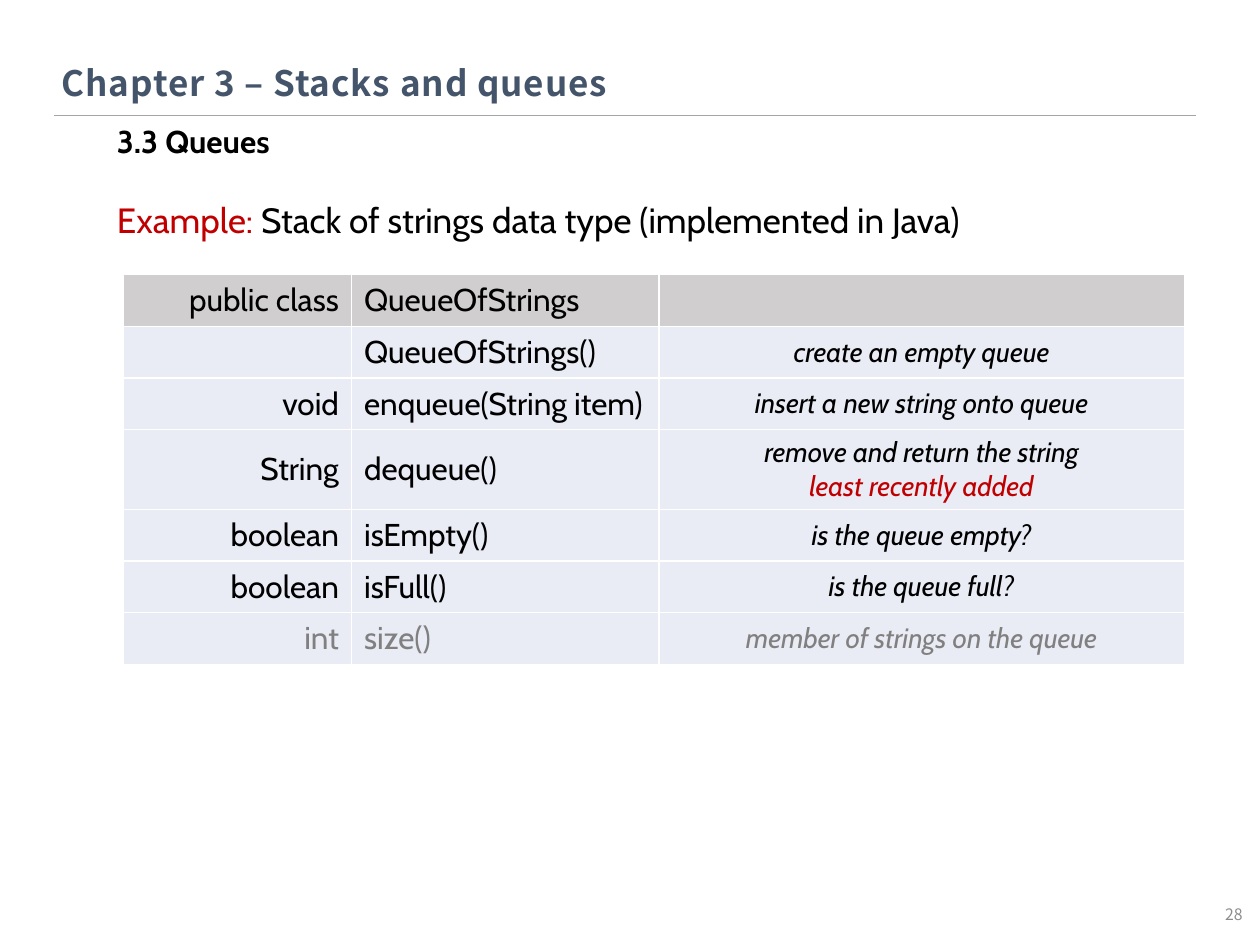
"""Build a slide that lists the methods of a queue of strings."""
from lxml import etree
from pptx import Presentation
from pptx.dml.color import RGBColor
from pptx.enum.shapes import MSO_CONNECTOR
from pptx.enum.text import MSO_ANCHOR, PP_ALIGN
from pptx.oxml.ns import qn
from pptx.util import Inches, Pt

LEFT, CENTER, RIGHT = PP_ALIGN.LEFT, PP_ALIGN.CENTER, PP_ALIGN.RIGHT
TOP, MIDDLE = MSO_ANCHOR.TOP, MSO_ANCHOR.MIDDLE
STRAIGHT = MSO_CONNECTOR.STRAIGHT

BLACK = RGBColor(0x00, 0x00, 0x00)
RED = RGBColor(0xC0, 0x00, 0x00)
GRAY = RGBColor(0x80, 0x80, 0x80)
NUMBER_GRAY = RGBColor(0x8C, 0x8C, 0x8C)
RULE_GRAY = RGBColor(0xA5, 0xA5, 0xA5)
SLATE = RGBColor(0x44, 0x54, 0x6A)
HEADER_FILL = RGBColor(0xD0, 0xCE, 0xCE)
BODY_FILL = RGBColor(0xE9, 0xEB, 0xF5)

BODY_FONT, HEADING_FONT = "Cabin", "Noto Sans CJK KR"

TITLE = "Chapter 3 – Stacks and queues"
SECTION = "3.3 Queues"
EXAMPLE = [("Example: ", RED), ("Stack of strings data type (implemented in Java)", BLACK)]
PAGE_NUMBER = "28"
METHODS = [
    ("public class", "QueueOfStrings", []),
    ("", "QueueOfStrings()", ["create an empty queue"]),
    ("void", "enqueue(String item)", ["insert a new string onto queue"]),
    ("String", "dequeue()", ["remove and return the string", "least recently added"]),
    ("boolean", "isEmpty()", ["is the queue empty?"]),
    ("boolean", "isFull()", ["is the queue full?"]),
    ("int", "size()", ["member of strings on the queue"]),
]
HIGHLIGHT = "least recently added"
OPTIONAL_METHODS = {"size()"}

SLIDE_SIZE = (10, 7.5)
TITLE_BOX = (0.39, 0.44, 9.57, 0.66)
SECTION_BOX = (0.83, 0.92, 8.58, 0.4)
EXAMPLE_BOX = (0.83, 1.53, 7.06, 0.44)
NUMBER_BOX = (9.08, 7.06, 0.88, 0.4)
RULE = (0.43, 0.92, 9.49, 0.92)
TABLE_LEFT, TABLE_TOP = 0.98, 2.18
COLUMN_WIDTHS = (1.81, 2.44, 4.17)
ROW_HEIGHT = 0.41

TITLE_FORMAT = {"name": HEADING_FONT, "size": Pt(20), "bold": True}
SECTION_FORMAT = {"name": BODY_FONT, "size": Pt(18), "bold": True}
EXAMPLE_FORMAT = {"name": BODY_FONT, "size": Pt(20)}
NUMBER_FORMAT = {"name": HEADING_FONT, "size": Pt(9)}
CODE_FORMAT = {"name": BODY_FONT, "size": Pt(18)}
NOTE_FORMAT = {"name": BODY_FONT, "size": Pt(16), "italic": True}


def write(frame, paragraphs, font_format, alignment=LEFT):
    """Fill a text frame with paragraphs, each a list of (text, color) runs."""
    for index, runs in enumerate(paragraphs):
        paragraph = frame.add_paragraph() if index else frame.paragraphs[0]
        paragraph.alignment = alignment
        for text, color in runs:
            run = paragraph.add_run()
            run.text = text
            run.font.color.rgb = color
            for name, value in font_format.items():
                setattr(run.font, name, value)


def add_text(slide, box, runs, font_format, alignment=LEFT, anchor=TOP, wrap=True):
    """Add a text box that holds one paragraph."""
    frame = slide.shapes.add_textbox(*map(Inches, box)).text_frame
    frame.word_wrap = wrap
    frame.vertical_anchor = anchor
    write(frame, [runs], font_format, alignment)


def add_title(slide):
    """Place and format the title placeholder."""
    title = slide.shapes.title
    title.left, title.top, title.width, title.height = map(Inches, TITLE_BOX)
    title.text_frame.vertical_anchor = TOP
    write(title.text_frame, [[(TITLE, SLATE)]], TITLE_FORMAT)
    run = title.text_frame.paragraphs[0].runs[0]
    run._r.get_or_add_rPr().set("spc", "50")


def add_rule(slide):
    """Draw the thin line under the title."""
    rule = slide.shapes.add_connector(STRAIGHT, *map(Inches, RULE))
    rule.line.color.rgb = RULE_GRAY
    rule.line.width = Pt(0.5)
    etree.SubElement(rule._element.spPr, qn("a:effectLst"))


def format_cell(cell, fill):
    """Give a cell its fill, middle anchor and white borders."""
    cell.vertical_anchor = MIDDLE
    properties = cell._tc.get_or_add_tcPr()
    for side in ("a:lnL", "a:lnR", "a:lnT", "a:lnB"):
        border = etree.SubElement(properties, qn(side), w=str(Pt(1)))
        solid = etree.SubElement(border, qn("a:solidFill"))
        etree.SubElement(solid, qn("a:srgbClr"), val="FFFFFF")
    cell.fill.solid()
    cell.fill.fore_color.rgb = fill


def add_method_table(slide):
    """Add the table of return types, methods and notes."""
    size = (sum(COLUMN_WIDTHS), ROW_HEIGHT * len(METHODS))
    table = slide.shapes.add_table(
        len(METHODS), len(COLUMN_WIDTHS), *map(Inches, (TABLE_LEFT, TABLE_TOP, *size))
    ).table
    for column, width in zip(table.columns, COLUMN_WIDTHS):
        column.width = Inches(width)
    for index, (return_type, method, notes) in enumerate(METHODS):
        table.rows[index].height = Inches(ROW_HEIGHT)
        color = GRAY if method in OPTIONAL_METHODS else BLACK
        contents = (
            ([return_type] if return_type else [], CODE_FORMAT, RIGHT),
            ([method], CODE_FORMAT, LEFT),
            (notes, NOTE_FORMAT, CENTER),
        )
        for cell, (lines, font_format, alignment) in zip(table.rows[index].cells, contents):
            format_cell(cell, BODY_FILL if index else HEADER_FILL)
            paragraphs = [[(line, RED if line == HIGHLIGHT else color)] for line in lines]
            write(cell.text_frame, paragraphs, font_format, alignment)


def main():
    """Build and save the presentation."""
    presentation = Presentation()
    presentation.slide_width, presentation.slide_height = map(Inches, SLIDE_SIZE)
    slide = presentation.slides.add_slide(presentation.slide_layouts[5])
    add_title(slide)
    add_rule(slide)
    add_text(slide, SECTION_BOX, [(SECTION, BLACK)], SECTION_FORMAT)
    add_text(slide, EXAMPLE_BOX, EXAMPLE, EXAMPLE_FORMAT, wrap=False)
    add_method_table(slide)
    add_text(slide, NUMBER_BOX, [(PAGE_NUMBER, NUMBER_GRAY)], NUMBER_FORMAT, RIGHT, MIDDLE)
    presentation.save("out.pptx")


if __name__ == "__main__":
    main()
